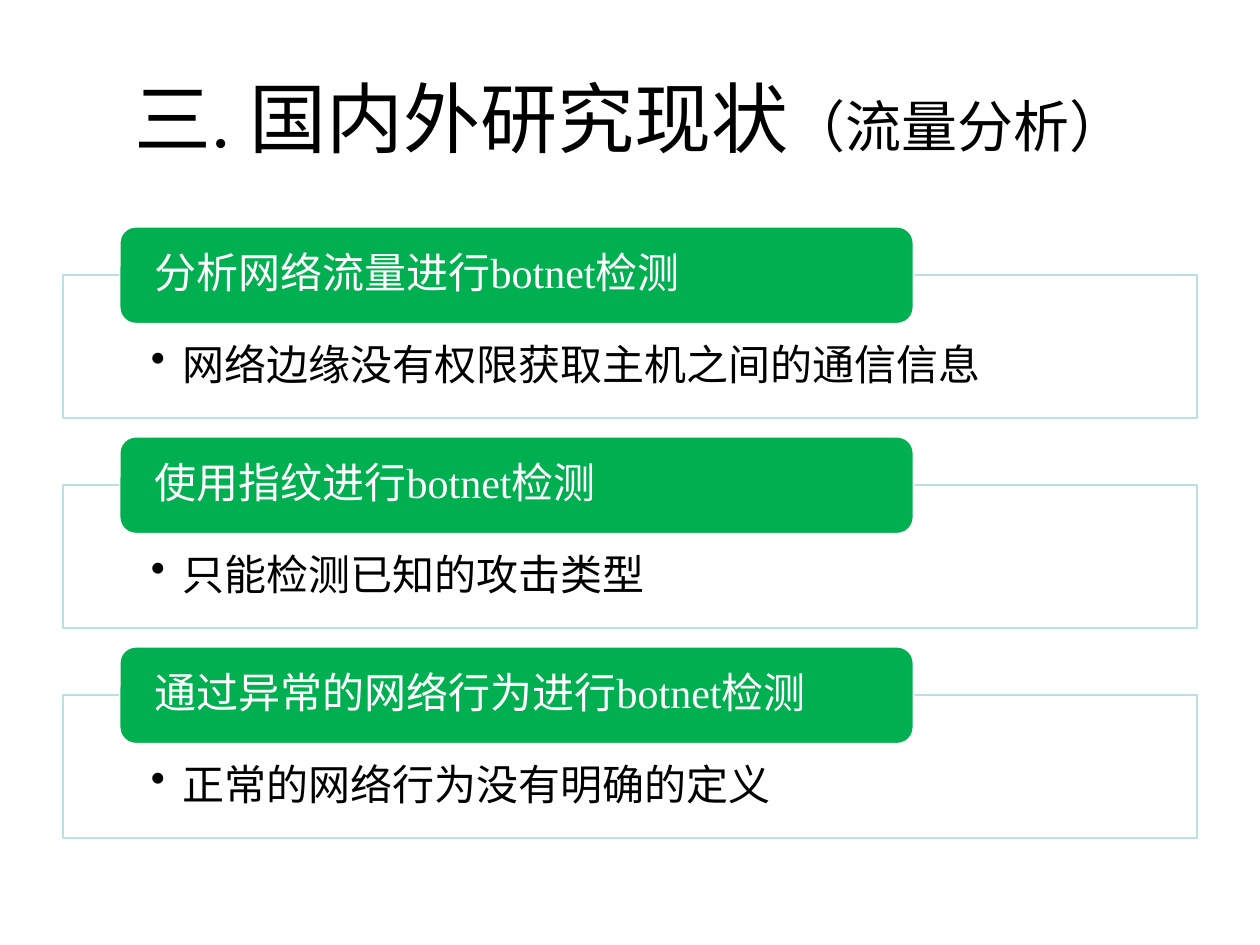
from lxml.etree import SubElement
from pptx import Presentation
from pptx.dml.color import RGBColor
from pptx.enum.shapes import MSO_SHAPE
from pptx.enum.text import MSO_ANCHOR, MSO_AUTO_SIZE, PP_ALIGN
from pptx.oxml.ns import qn
from pptx.util import Pt

BLACK = RGBColor(0x00, 0x00, 0x00)
WHITE = RGBColor(0xFF, 0xFF, 0xFF)
GREEN = RGBColor(0x00, 0xB0, 0x50)
PALE_TEAL = RGBColor(0xBB, 0xE0, 0xE3)
FONT = "Times New Roman"

TITLE_RUNS = [("三. 国内外研究现状", 44), ("（流量分析）", 32)]
SECTIONS = [
    ("分析网络流量进行botnet检测", "网络边缘没有权限获取主机之间的通信信息"),
    ("使用指纹进行botnet检测", "只能检测已知的攻击类型"),
    ("通过异常的网络行为进行botnet检测", "正常的网络行为没有明确的定义"),
]
SECTION_PITCH = 120
HEADER_FRAME = {
    "vertical_anchor": MSO_ANCHOR.MIDDLE,
    "margin_left": Pt(17.28), "margin_right": Pt(17.28),
    "margin_top": 0, "margin_bottom": 0,
}
DETAIL_FRAME = {
    "vertical_anchor": MSO_ANCHOR.TOP,
    "margin_left": Pt(50.3), "margin_right": Pt(50.3),
    "margin_top": Pt(39.4), "margin_bottom": Pt(13.4),
}


def set_attributes(target, values):
    """Set each named attribute on the target."""
    for name, value in values.items():
        setattr(target, name, value)


def add_run(paragraph, text, size, color):
    """Append a formatted run to a paragraph."""
    run = paragraph.add_run()
    run.text = text
    set_attributes(run.font, {"name": FONT, "size": Pt(size)})
    run.font.color.rgb = color


def add_box(shapes, kind, box, fill, line, text, color, frame_format):
    """Add a filled box with one left-aligned line of text."""
    shape = shapes.add_shape(kind, *map(Pt, box))
    shape.shadow.inherit = False
    shape.fill.solid()
    shape.fill.fore_color.rgb = fill
    shape.line.color.rgb = line
    shape.line.width = Pt(1)
    set_attributes(shape.text_frame, {"word_wrap": True, **frame_format})
    paragraph = shape.text_frame.paragraphs[0]
    set_attributes(paragraph, {"alignment": PP_ALIGN.LEFT, "line_spacing": 0.9})
    add_run(paragraph, text, 24, color)
    return shape


def add_bullet(paragraph):
    """Give a paragraph a round bullet with a hanging indent."""
    paragraph.level = 1
    properties = paragraph._p.get_or_add_pPr()
    properties.set("marL", str(Pt(18)))
    properties.set("indent", str(Pt(-18)))
    SubElement(properties, qn("a:buChar"), char="•")


def add_section(shapes, left, top, width, height, header, detail):
    """Draw a detail panel with a header tab over its top edge."""
    panel = add_box(shapes, MSO_SHAPE.RECTANGLE,
                    (left, top + 27.4, width, height - 27.4),
                    WHITE, PALE_TEAL, detail, BLACK, DETAIL_FRAME)
    add_bullet(panel.text_frame.paragraphs[0])
    color = panel.fill._xPr.find(qn("a:solidFill"))[0]
    SubElement(color, qn("a:alpha"), val="90000")
    add_box(shapes, MSO_SHAPE.ROUNDED_RECTANGLE,
            (left + width * 0.05, top, width * 0.7, 55.4),
            GREEN, WHITE, header, WHITE, HEADER_FRAME)


def place_title(title, left, top, width, height):
    """Position the title placeholder and fill in its two sizes of text."""
    set_attributes(title, {"left": Pt(left), "top": Pt(top),
                           "width": Pt(width), "height": Pt(height)})
    set_attributes(title.text_frame, {"vertical_anchor": MSO_ANCHOR.MIDDLE,
                                      "word_wrap": True,
                                      "auto_size": MSO_AUTO_SIZE.NONE})
    paragraph = title.text_frame.paragraphs[0]
    paragraph.alignment = PP_ALIGN.CENTER
    for text, size in TITLE_RUNS:
        add_run(paragraph, text, size, BLACK)


def main():
    """Build and save the slide."""
    presentation = Presentation()
    presentation.slide_width, presentation.slide_height = Pt(720), Pt(540)
    slide = presentation.slides.add_slide(presentation.slide_layouts[5])
    place_title(slide.shapes.title, 36, 21.6, 648, 90)
    group = slide.shapes.add_group_shape()
    for index, (header, detail) in enumerate(SECTIONS):
        add_section(group.shapes, 36, 129.6 + index * SECTION_PITCH, 648, 109.4,
                    header, detail)
    presentation.save("out.pptx")


if __name__ == "__main__":
    main()
